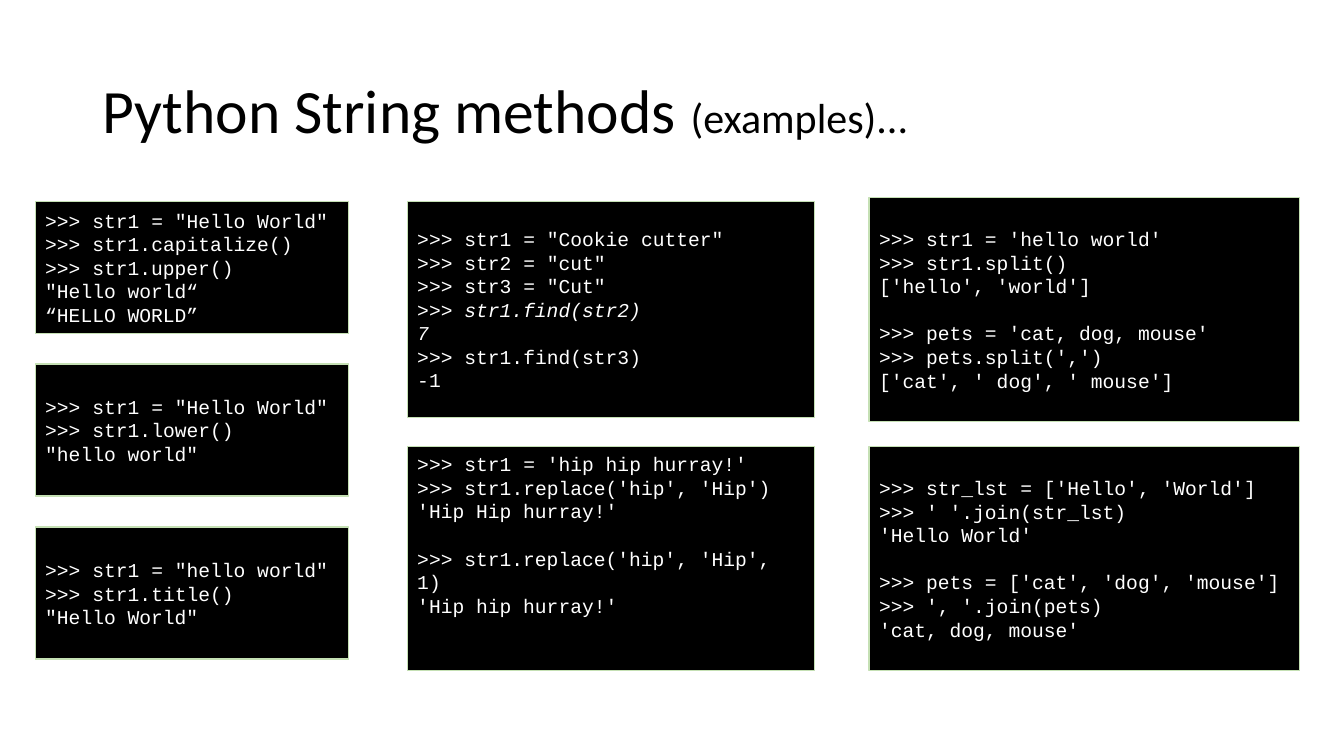
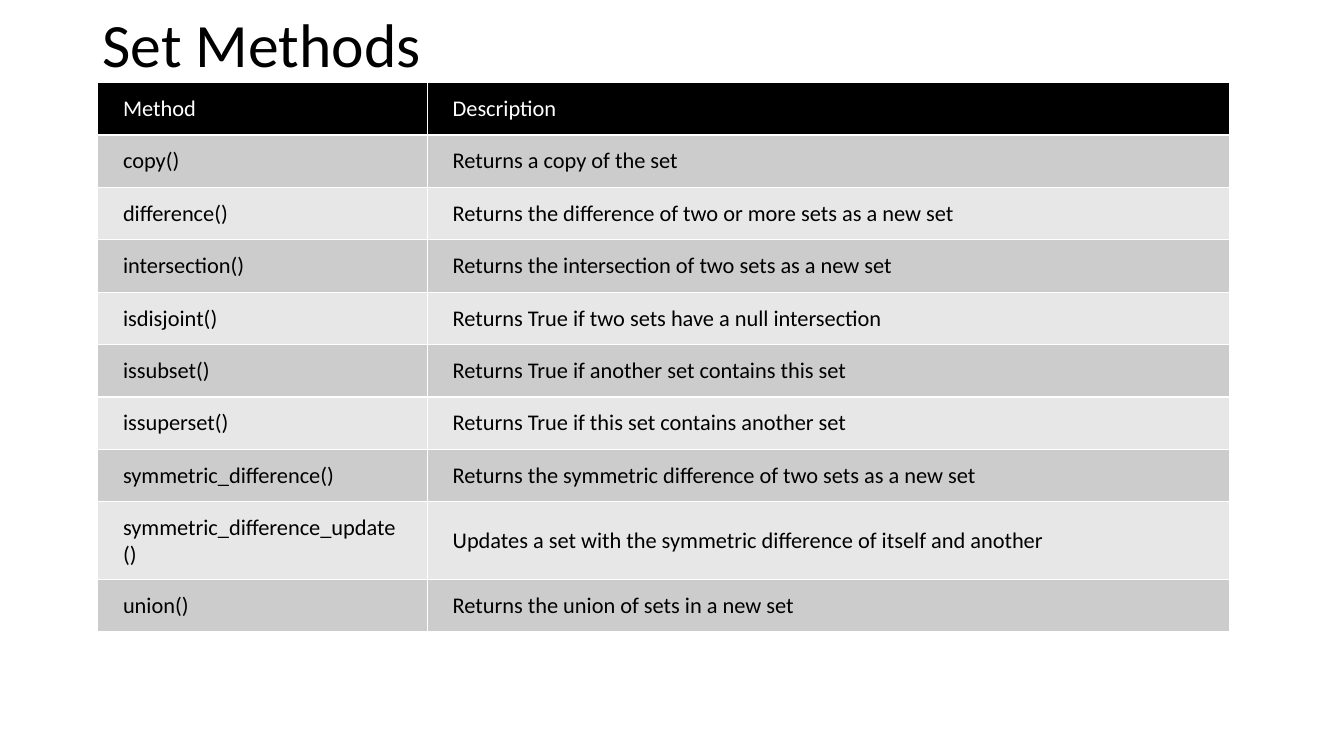
import pptx
import pptx.dml.color
import pptx.enum.shapes
import pptx.enum.text
import pptx.util
from lxml import etree
from pptx.oxml.ns import qn

PX = 9144  # 100 px to the inch
COLORS = {
    "ink": "000000",
    "paper": "FFFFFF",
    "outline": "C5E0B4",
    "dark_band": "CCCCCC",
    "light_band": "E7E7E7",
}
BLANK_LINE = 17  # points
CODE_WIDTHS = {35: 311, 404: 404, 862: 427}  # left edge: width


def rgb(name):
    return pptx.dml.color.RGBColor.from_string(COLORS[name])


def add_text(frame, text, font="Calibri", size=16, color="ink", spacing=1.0,
             marked_size=None, marked_italic=False, insets=(10, 5, 10, 5)):
    """Fill a frame line by line; parts between asterisks get the marked format.

    An empty line becomes space above the next one, or below the last.
    """
    frame.word_wrap = True
    frame.vertical_anchor = pptx.enum.text.MSO_ANCHOR.MIDDLE
    lines = text.split("\n")
    left, top, right, bottom = insets
    frame.margin_left, frame.margin_top = left * PX, top * PX
    frame.margin_right, frame.margin_bottom = right * PX, bottom * PX
    para, gap = None, 0
    for line in lines:
        if not line:
            gap += BLANK_LINE
            continue
        para = frame.add_paragraph() if para else frame.paragraphs[0]
        para.alignment = pptx.enum.text.PP_ALIGN.LEFT
        para.line_spacing = spacing
        para.space_before = pptx.util.Pt(gap)
        gap = 0
        for index, part in enumerate(line.split("*")):
            if not part:
                continue
            marked = index % 2 == 1
            span = para.add_run()
            span.text = part
            span.font.name = font
            span.font.size = pptx.util.Pt(marked_size if marked and marked_size else size)
            span.font.bold = False
            span.font.italic = marked and marked_italic
            span.font.color.rgb = rgb(color)
    if gap:
        frame.margin_bottom += pptx.util.Pt(gap)


deck = pptx.Presentation()
deck.slide_width = 1333 * PX
deck.slide_height = 750 * PX

pages = []
for title, top, height in [
    ("Python String methods *(examples)...*", 40, 145),
    ("Set Methods", 7, 81),
]:
    page = deck.slides.add_slide(deck.slide_layouts[6])
    box = page.shapes.add_textbox(92 * PX, top * PX, 1150 * PX, height * PX)
    add_text(box.text_frame, title, size=44, marked_size=30, spacing=0.9)
    pages.append(page)
string_page, set_page = pages

# String methods: left, top, height and code of each console
consoles = [
    (35, 200, 131, """*>>> *str1 = "Hello World"
*>>> *str1.capitalize()
>>> str1.upper()
"Hello world“
“HELLO WORLD”"""),
    (35, 361, 131, """*>>> *str1 = "Hello World"
*>>> *str1.lower()
"hello world\""""),
    (35, 523, 131, """*>>> *str1 = "hello world"
*>>> *str1.title()
"Hello World\""""),
    (404, 200, 214, """*>>> *str1 = "Cookie cutter"
*>>> *str2 = "cut"
*>>> *str3 = "Cut"
*>>> str1.find(str2)*
*7*
*>>> *str1.find(str3)
-1"""),
    (404, 443, 222, """*>>> *str1 = 'hip hip hurray!'
*>>>* str1.replace('hip', 'Hip')
'Hip Hip hurray!'

>>> str1.replace('hip', 'Hip', 1)
'Hip hip hurray!'

"""),
    (862, 196, 222, """>>> str1 = 'hello world'
>>> str1.split()
['hello', 'world']

>>> pets = 'cat, dog, mouse'
>>> pets.split(',')
['cat', ' dog', ' mouse']"""),
    (862, 443, 222, """>>> str_lst = ['Hello', 'World']
>>> ' '.join(str_lst)
'Hello World'

>>> pets = ['cat', 'dog', 'mouse']
>>> ', '.join(pets)
'cat, dog, mouse'"""),
]
for left, top, height, code in consoles:
    console = string_page.shapes.add_shape(
        pptx.enum.shapes.MSO_SHAPE.RECTANGLE,
        left * PX, top * PX, CODE_WIDTHS[left] * PX, height * PX)
    console.shadow.inherit = False
    console.fill.solid()
    console.fill.fore_color.rgb = rgb("ink")
    console.line.color.rgb = rgb("outline")
    console.line.width = pptx.util.Pt(1)
    add_text(console.text_frame, code, font="Courier New", size=14,
             color="paper", marked_italic=True)

# Set methods
methods = [
    ("Method", "Description"),
    ("copy()", "Returns a copy of the set"),
    ("difference()", "Returns the difference of two or more sets as a new set"),
    ("intersection()", "Returns the intersection of two sets as a new set"),
    ("isdisjoint()", "Returns True if two sets have a null intersection"),
    ("issubset()", "Returns True if another set contains this set"),
    ("issuperset()", "Returns True if this set contains another set"),
    ("symmetric_difference()", "Returns the symmetric difference of two sets as a new set"),
    ("symmetric_difference_update()",
     "Updates a set with the symmetric difference of itself and another"),
    ("union()", "Returns the union of sets in a new set"),
]
row_height = 52
table = set_page.shapes.add_table(
    len(methods), 2, 97 * PX, 82 * PX, 1123 * PX, row_height * len(methods) * PX).table
table.horz_banding = False
for column, width in zip(table.columns, (327, 796)):
    column.width = width * PX

for row, texts in enumerate(methods):
    table.rows[row].height = row_height * PX
    band = "ink" if row == 0 else ("light_band", "dark_band")[row % 2]
    for column, text in enumerate(texts):
        cell = table.cell(row, column)
        add_text(cell.text_frame, text, color="ink" if row else "paper")
        cell.vertical_anchor = pptx.enum.text.MSO_ANCHOR.MIDDLE
        cell.margin_left = cell.margin_right = 25 * PX
        cell.margin_top = cell.margin_bottom = 12 * PX
        properties = cell._tc.get_or_add_tcPr()
        for side in ("a:lnL", "a:lnR", "a:lnT", "a:lnB"):
            border = etree.SubElement(properties, qn(side), w=str(pptx.util.Pt(1)))
            paint = etree.SubElement(border, qn("a:solidFill"))
            etree.SubElement(paint, qn("a:srgbClr"), val=COLORS["paper"])
        cell.fill.solid()
        cell.fill.fore_color.rgb = rgb(band)

deck.save("out.pptx")
